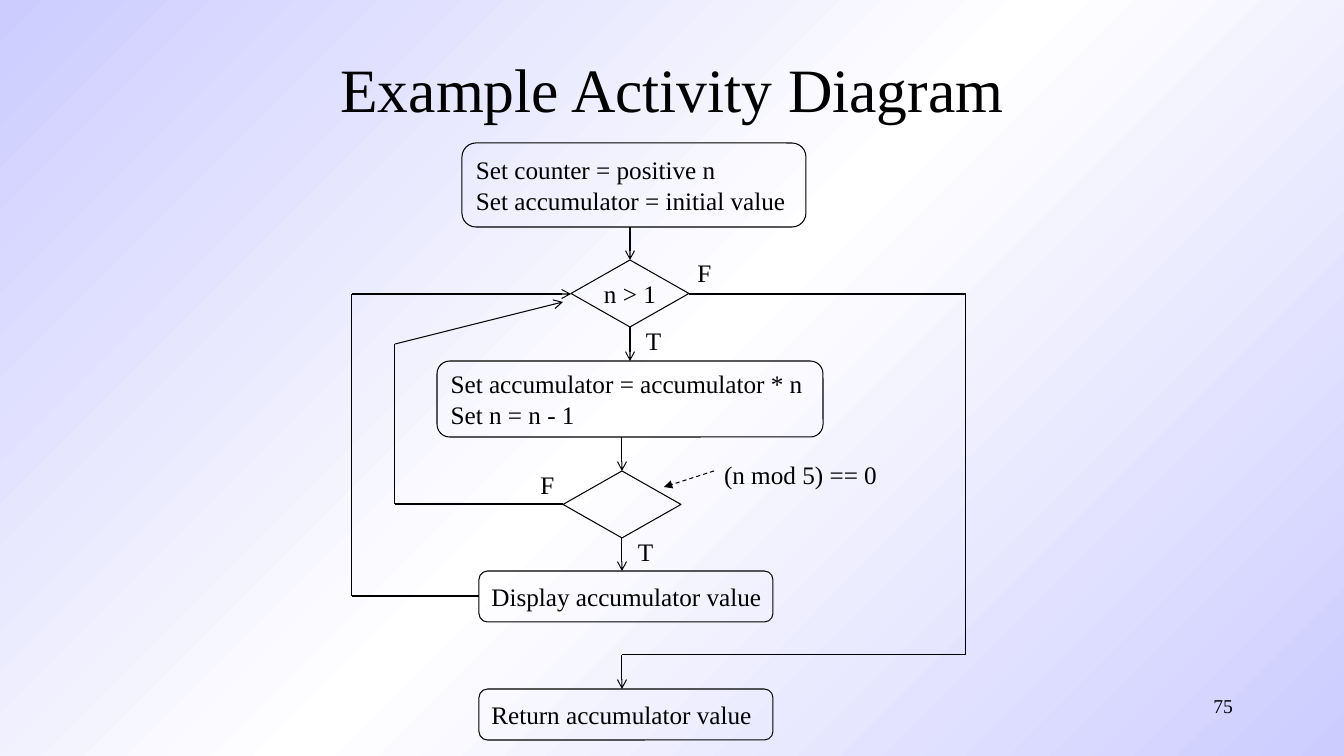
from copy import deepcopy
from itertools import pairwise

from lxml import etree
from pptx import Presentation
from pptx import util as u
from pptx.dml.color import RGBColor
from pptx.enum import dml, shapes, text
from pptx.oxml.ns import qn

PIXEL = 914400 / 100.8
FONT = "Times New Roman"
BLACK = RGBColor(0, 0, 0)
WHITE = RGBColor(255, 255, 255)
LAVENDER = RGBColor(204, 204, 255)
LEFT, CENTER, RIGHT = text.PP_ALIGN.LEFT, text.PP_ALIGN.CENTER, text.PP_ALIGN.RIGHT
ROUNDED = shapes.MSO_SHAPE.ROUNDED_RECTANGLE
DECISION = shapes.MSO_SHAPE.FLOWCHART_DECISION


def px(*lengths):
    """Turn pixels into a list of EMU lengths."""
    return [u.Emu(round(length * PIXEL)) for length in lengths]


def write(shape, words, size, align, anchor=text.MSO_ANCHOR.TOP, wrap=False):
    """Put formatted words into a shape."""
    frame = shape.text_frame
    frame.text = words
    frame.word_wrap = wrap
    frame.vertical_anchor = anchor
    for paragraph in frame.paragraphs:
        paragraph.alignment = align
        for run in paragraph.runs:
            run.font.name = FONT
            run.font.size = u.Pt(size)
            run.font.color.rgb = BLACK


def set_background(slide):
    """Fill the slide with a diagonal lavender and white gradient."""
    fill = slide.background.fill
    fill.gradient()
    fill.gradient_angle = 315
    first = slide.background._cSld.find(".//" + qn("a:gs"))
    first.addnext(deepcopy(first))
    for stop, position, color in zip(fill.gradient_stops, (0, 0.5, 1), (LAVENDER, WHITE, LAVENDER)):
        stop.position = position
        stop.color.rgb = color


def set_title(slide, box, words):
    """Place and format the title placeholder."""
    title = slide.shapes.title
    title.left, title.top, title.width, title.height = px(*box)
    write(title, words, 44, CENTER, text.MSO_ANCHOR.MIDDLE, True)


def add_label(slide, box, words, size=18, align=CENTER, wrap=False):
    """Add a text box."""
    label = slide.shapes.add_textbox(*px(*box))
    write(label, words, size, align, wrap=wrap)


def add_step(slide, kind, box, words):
    """Add an outlined step or decision."""
    step = slide.shapes.add_shape(kind, *px(*box))
    step.shadow.inherit = False
    step.fill.background()
    step.line.color.rgb = BLACK
    step.line.width = u.Pt(0.75)
    if words:
        align = CENTER if kind == DECISION else LEFT
        write(step, words, 18, align, text.MSO_ANCHOR.MIDDLE)


def add_route(slide, points, head="arrow", dashed=False):
    """Join points with straight lines and put an arrowhead on the last."""
    for start, end in pairwise(points):
        connector = slide.shapes.add_connector(shapes.MSO_CONNECTOR.STRAIGHT, *px(*start, *end))
        connector.line.color.rgb = BLACK
        connector.line.width = u.Pt(0.75)
        if dashed:
            connector.line.dash_style = dml.MSO_LINE.DASH
        properties = connector._element.spPr
        etree.SubElement(properties, qn("a:effectLst"))
    etree.SubElement(properties.find(qn("a:ln")), qn("a:tailEnd"), type=head)


def add_diagram(slide, left, top):
    """Draw the activity diagram from its top left corner."""
    steps = [
        (ROUNDED, (110, 0, 344, 84), "Set counter = positive n\nSet accumulator = initial value"),
        (DECISION, (219, 117, 118, 67), "n > 1"),
        (ROUNDED, (85, 218, 386, 76), "Set accumulator = accumulator * n\nSet n = n - 1"),
        (DECISION, (211, 328, 118, 67), ""),
        (ROUNDED, (127, 428, 294, 51), "Display accumulator value"),
        (ROUNDED, (127, 546, 294, 51), "Return accumulator value"),
    ]
    routes = [
        [(278, 84), (278, 117)],
        [(278, 184), (278, 218)],
        [(270, 294), (270, 328)],
        [(270, 395), (270, 428)],
        [(127, 453), (0, 453), (0, 151), (219, 151)],
        [(211, 361), (43, 361), (43, 201), (211, 159)],
        [(337, 151), (614, 151), (614, 512), (270, 512), (270, 546)],
    ]
    labels = [
        ((362, 311, 173, 40), "(n mod 5) == 0"),
        ((284, 177, 35, 40), "T"),
        ((335, 109, 35, 40), "F"),
        ((276, 388, 35, 40), "T"),
        ((178, 321, 35, 40), "F"),
    ]

    def shift(x, y, *size):
        return (left + x, top + y, *size)

    for kind, box, words in steps:
        add_step(slide, kind, shift(*box), words)
    for points in routes:
        add_route(slide, [shift(*point) for point in points])
    add_route(slide, [shift(362, 328), shift(312, 344)], "triangle", True)
    for box, words in labels:
        add_label(slide, shift(*box), words)


def main():
    """Build and save the slide."""
    presentation = Presentation()
    presentation.slide_width, presentation.slide_height = px(1344, 756)
    slide = presentation.slides.add_slide(presentation.slide_layouts.get_by_name("Title Only"))
    set_background(slide)
    set_title(slide, (244, 25, 857, 126), "Example Activity Diagram")
    add_diagram(slide, 352, 143)
    add_label(slide, (963, 689, 280, 50), "75", 14, RIGHT, True)
    presentation.save("out.pptx")


main()
